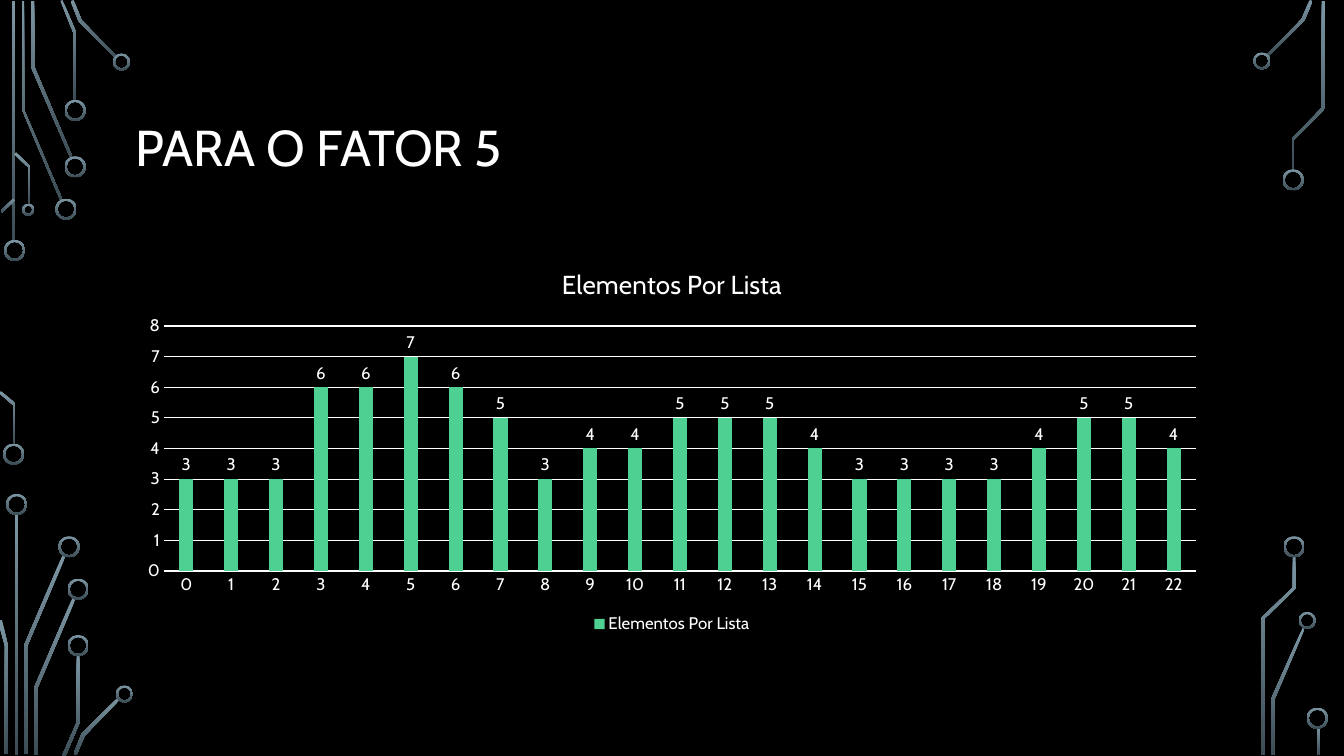
from pptx import Presentation
from pptx.chart.data import CategoryChartData
from pptx.dml.color import RGBColor
from pptx.enum.chart import XL_CHART_TYPE as ChartType, XL_LABEL_POSITION as LabelPosition
from pptx.enum.chart import XL_LEGEND_POSITION as LegendPosition, XL_TICK_MARK as TickMark
from pptx.enum.shapes import MSO_SHAPE as Shape
from pptx.enum.text import MSO_ANCHOR as Anchor
from pptx.util import Inches, Pt

BLACK = RGBColor(0x00, 0x00, 0x00)
WHITE = RGBColor(0xFF, 0xFF, 0xFF)
GREEN = RGBColor(0x4F, 0xD0, 0x93)
CIRCUIT_LIGHT = RGBColor(0x7C, 0x96, 0xA3)
CIRCUIT_DARK = RGBColor(0x3B, 0x4C, 0x54)
FONT = "Cabin"


def style_circuit(shape):
    shape.shadow.inherit = False
    shape.line.fill.background()
    shape.fill.gradient()
    shape.fill.gradient_angle = 270
    for stop, color in zip(shape.fill.gradient_stops, (CIRCUIT_LIGHT, CIRCUIT_DARK)):
        stop.color.rgb = color


def style_font(font, size):
    font.name = FONT
    font.size = Pt(size)
    font.bold = False
    font.color.rgb = WHITE


presentation = Presentation()
presentation.slide_width = Inches(13.33)
presentation.slide_height = Inches(7.5)
slide = presentation.slides.add_slide(presentation.slide_layouts[6])
slide.background.fill.solid()
slide.background.fill.fore_color.rgb = BLACK

vertical_wires = [(0.12, 0.01, 2.39), (0.15, 5.1, 2.39), (13.06, 7.21, 0.28)]
for left, top, height in vertical_wires:
    wire = slide.shapes.add_shape(
        Shape.RECTANGLE, Inches(left), Inches(top), Inches(0.03), Inches(height))
    style_circuit(wire)

bent_wires = [
    [(0.6, 1.99), (0.22, 1.09), (0.22, 0.01), (0.24, 0.01), (0.24, 1.09), (0.62, 1.98)],
    [(0.7, 1.57), (0.31, 0.67), (0.31, 0.01), (0.34, 0.01), (0.34, 0.66), (0.72, 1.56)],
    [(0.76, 1), (0.73, 1), (0.73, 0.33), (0.6, 0.01), (0.62, 0), (0.76, 0.33)],
    [(1.15, 0.58), (0.78, 0.21), (0.7, 0.01), (0.73, 0), (0.81, 0.2), (1.16, 0.56)],
    [(0.02, 2.11), (0.01, 2.09), (0.13, 1.97), (0.15, 1.99)],
    [(0.15, 4.41), (0.13, 4.41), (0.13, 4.02), (-0.01, 3.9), (0.01, 3.88), (0.15, 4)],
    [(0.3, 2.03), (0.28, 2.03), (0.28, 1.66), (0.14, 1.53), (0.16, 1.51), (0.3, 1.65)],
    [(0.27, 7.48), (0.24, 7.48), (0.24, 6.4), (0.62, 5.51), (0.65, 5.52), (0.27, 6.41)],
    [(0.08, 7.48), (0.05, 7.48), (0.05, 6.41), (-0.02, 6.16), (0.02, 6.15), (0.08, 6.41)],
    [(0.37, 7.49), (0.34, 7.49), (0.34, 6.82), (0.72, 5.93), (0.75, 5.94), (0.37, 6.83)],
    [(0.65, 7.5), (0.62, 7.49), (0.76, 7.17), (0.76, 6.5), (0.79, 6.5), (0.79, 7.17)],
    [(0.76, 7.49), (0.73, 7.48), (0.81, 7.28), (1.17, 6.92), (1.19, 6.94), (0.84, 7.3)],
    [(12.58, 0.56), (12.56, 0.55), (12.91, 0.19), (12.99, 0), (13.02, 0.01), (12.94, 0.2)],
    [(12.64, 7.49), (12.61, 7.49), (12.61, 6.93), (12.92, 6.23), (12.94, 6.24), (12.64, 6.94)],
    [(12.83, 1.69), (12.81, 1.69), (12.81, 1.38), (13.11, 1.07), (13.11, 0.01),
     (13.14, 0.01), (13.14, 1.08), (12.83, 1.39)],
    [(12.54, 7.49), (12.51, 7.49), (12.51, 6.13), (12.82, 5.83), (12.82, 5.52),
     (12.85, 5.52), (12.85, 5.84), (12.54, 6.14)],
]
for wire_points in bent_wires:
    points = [(Inches(x), Inches(y)) for x, y in wire_points]
    builder = slide.shapes.build_freeform(*points[0])
    builder.add_line_segments(points[1:], close=True)
    style_circuit(builder.convert_to_shape())

rings_by_diameter = {
    0.21: [(0.04, 2.38), (0.03, 4.4), (0.55, 1.97), (0.64, 1.55), (0.64, 0.99),
           (0.06, 4.9), (0.58, 5.32), (0.67, 5.74), (0.67, 6.3),
           (12.72, 1.68), (12.73, 5.32), (12.96, 7.02)],
    0.17: [(1.12, 0.53), (1.15, 6.8), (12.43, 0.52), (12.88, 6.07)],
    0.12: [(0.22, 2.02)],
}
for diameter, corners in rings_by_diameter.items():
    for left, top in corners:
        ring = slide.shapes.add_shape(
            Shape.DONUT, Inches(left), Inches(top), Inches(diameter), Inches(diameter))
        ring.adjustments[0] = 0.02 / diameter
        style_circuit(ring)

title = slide.shapes.add_textbox(Inches(1.25), Inches(0.68), Inches(10.83), Inches(1.62))
title.text_frame.word_wrap = True
title.text_frame.vertical_anchor = Anchor.MIDDLE
title.text_frame.text = "PARA O FATOR 5"
title_paragraph = title.text_frame.paragraphs[0]
title_paragraph.line_spacing = 0.9
style_font(title_paragraph.runs[0].font, 36)

series_name = "Elementos Por Lista"
list_sizes = [3, 3, 3, 6, 6, 7, 6, 5, 3, 4, 4, 5, 5, 5, 4, 3, 3, 3, 3, 4, 5, 5, 4]
chart_data = CategoryChartData()
chart_data.categories = [str(index) for index in range(len(list_sizes))]
chart_data.add_series(series_name, list_sizes)
chart = slide.shapes.add_chart(
    ChartType.COLUMN_CLUSTERED, Inches(1.25), Inches(2.46),
    Inches(10.83), Inches(3.87), chart_data).chart
style_font(chart.font, 10)

chart.has_title = True
chart.chart_title.include_in_layout = False
chart.chart_title.text_frame.text = series_name
style_font(chart.chart_title.text_frame.paragraphs[0].runs[0].font, 18.6)

chart.has_legend = True
chart.legend.position = LegendPosition.BOTTOM
chart.legend.include_in_layout = False
style_font(chart.legend.font, 12)

for axis in (chart.category_axis, chart.value_axis):
    axis.major_tick_mark = TickMark.NONE
    axis.minor_tick_mark = TickMark.NONE
    style_font(axis.tick_labels.font, 12)
chart.value_axis.minimum_scale = 0
chart.value_axis.maximum_scale = 8
chart.value_axis.major_unit = 1
chart.value_axis.format.line.fill.background()
for line in (chart.category_axis.format.line, chart.value_axis.major_gridlines.format.line):
    line.color.rgb = WHITE
    line.width = Pt(0.75)

plot = chart.plots[0]
plot.gap_width = 219
plot.overlap = -27
plot.vary_by_categories = False
columns = plot.series[0]
columns.format.fill.solid()
columns.format.fill.fore_color.rgb = GREEN
labels = columns.data_labels
labels.show_value = True
labels.position = LabelPosition.OUTSIDE_END
style_font(labels.font, 12)

presentation.save("out.pptx")
